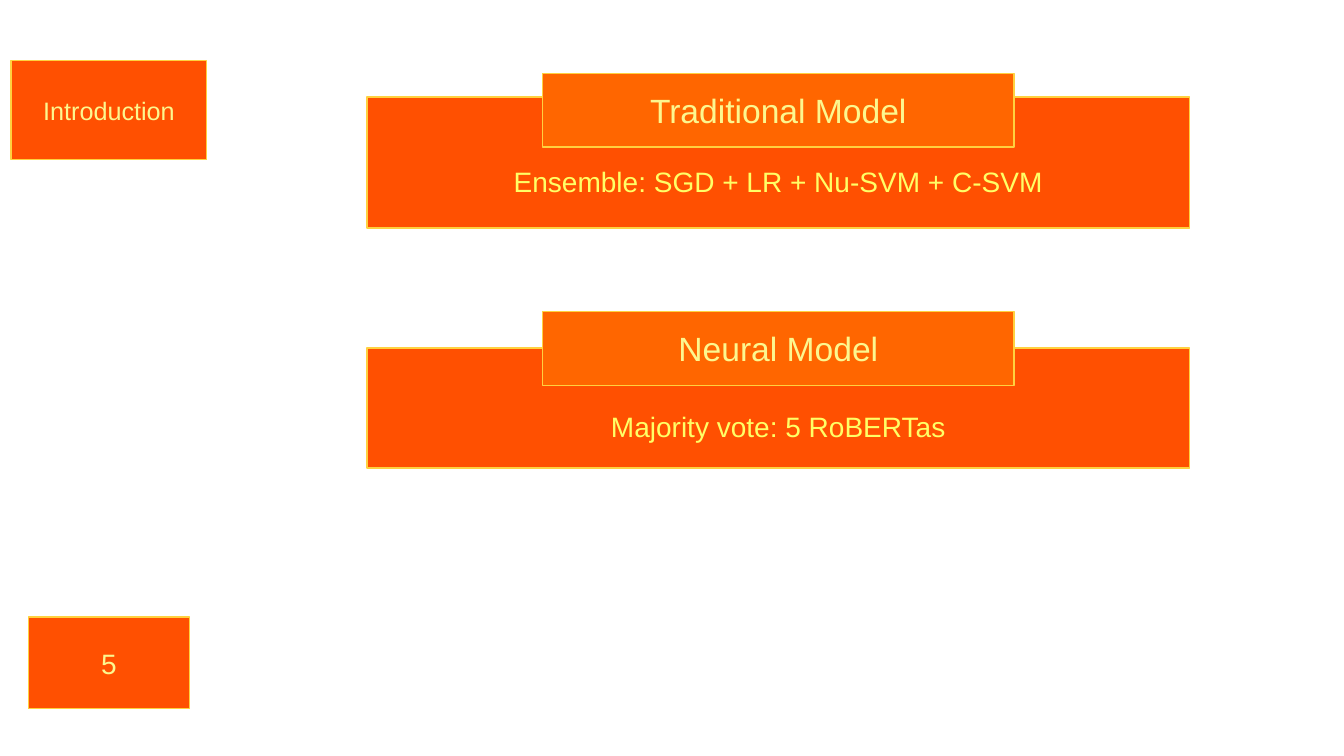
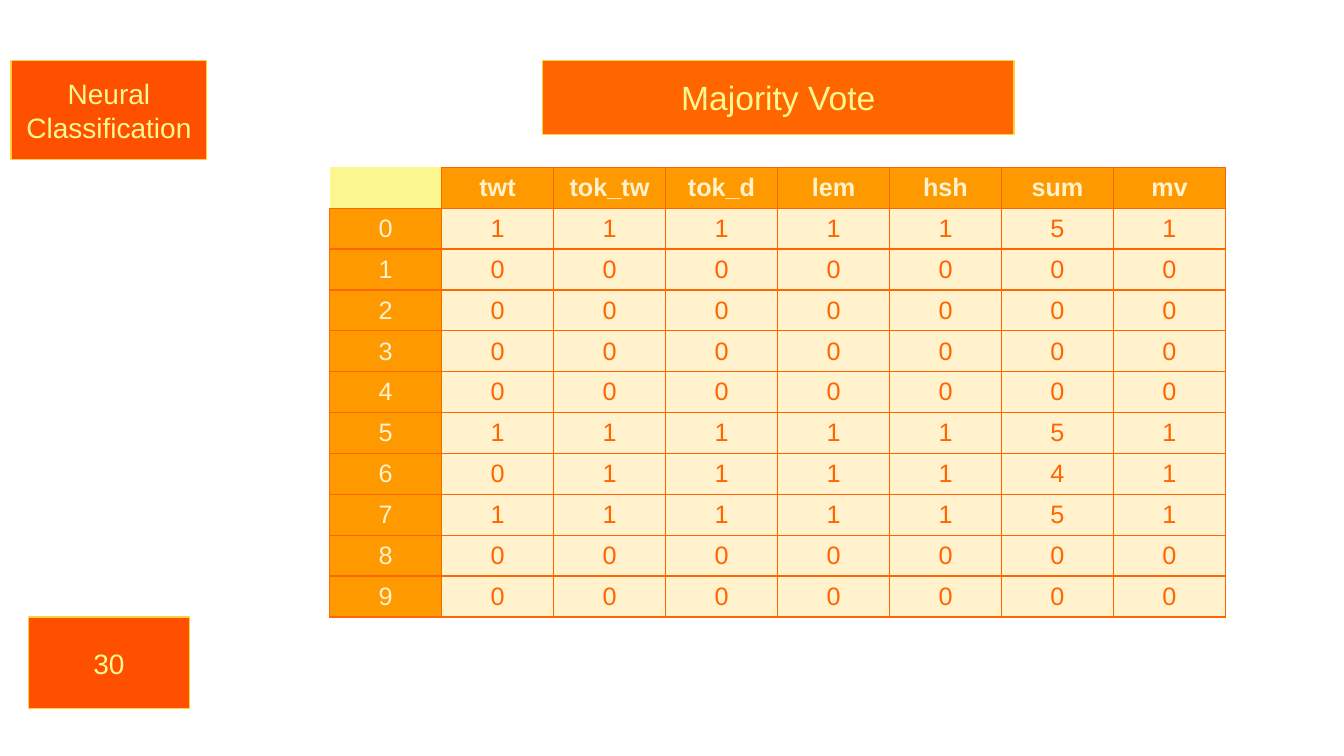
"""Build two slides on the models and their majority vote."""
from lxml.etree import SubElement
from pptx import Presentation
from pptx.dml.color import RGBColor
from pptx.enum.shapes import MSO_SHAPE as SHAPE
from pptx.enum.text import MSO_ANCHOR as ANCHOR, MSO_AUTO_SIZE as AUTO_SIZE, PP_ALIGN as ALIGN
from pptx.oxml.ns import qn
from pptx.util import Pt

RED_ORANGE = RGBColor(0xFF, 0x50, 0x01)
ORANGE = RGBColor(0xFF, 0x66, 0x00)
AMBER = RGBColor(0xFF, 0x99, 0x00)
GOLD = RGBColor(0xFF, 0xD1, 0x3F)
PALE_YELLOW = RGBColor(0xFC, 0xF7, 0x8F)
YELLOW = RGBColor(0xFF, 0xFF, 0x66)
CREAM = RGBColor(0xFF, 0xF2, 0xCC)

FONT = "Arial"
TITLE_ONLY = 5
HEADING_LEFT, HEADING_WIDTH, HEADING_HEIGHT = 387.4, 337, 52.6
PANEL_LEFT, PANEL_WIDTH, PANEL_TOP_INSET = 262.2, 587.5, 30
TABLE_LEFT, TABLE_TOP, COLUMN_WIDTH, ROW_HEIGHT = 235.4, 119.5, 80, 29.2

VOTERS = ["twt", "tok_tw", "tok_d", "lem", "hsh"]
ALL_FOR, ALL_AGAINST = [1] * 5, [0] * 5
VOTES = [ALL_FOR, *[ALL_AGAINST] * 4, ALL_FOR, [0, 1, 1, 1, 1], ALL_FOR, *[ALL_AGAINST] * 2]


def write(frame, text, size, color, bold=False):
    """Write one centred run into a text frame."""
    paragraph = frame.paragraphs[0]
    paragraph.alignment = ALIGN.CENTER
    run = paragraph.add_run()
    run.text = text
    run.font.name = FONT
    run.font.size = Pt(size)
    run.font.bold = bold
    run.font.color.rgb = color


def style_box(shape, text, size, fill, color=PALE_YELLOW):
    """Give a shape the gold-edged box style and its text."""
    shape.shadow.inherit = False
    shape.fill.solid()
    shape.fill.fore_color.rgb = fill
    shape.line.color.rgb = GOLD
    shape.line.width = Pt(1)
    frame = shape.text_frame
    frame.word_wrap = True
    frame.auto_size = AUTO_SIZE.NONE
    frame.vertical_anchor = ANCHOR.MIDDLE
    write(frame, text, size, color)


def add_box(slide, left, top, width, height, *style):
    """Add a styled rectangle."""
    shape = slide.shapes.add_shape(SHAPE.RECTANGLE, Pt(left), Pt(top), Pt(width), Pt(height))
    style_box(shape, *style)
    return shape


def add_slide(presentation, section, section_size, number):
    """Add a slide with its section title and number box."""
    slide = presentation.slides.add_slide(presentation.slide_layouts[TITLE_ONLY])
    title = slide.shapes.title
    title.left, title.top, title.width, title.height = Pt(8), Pt(43.4), Pt(139.7), Pt(70.6)
    style_box(title, section, section_size, RED_ORANGE)
    add_box(slide, 20.2, 440.8, 115.2, 65.5, number, 20, RED_ORANGE)
    return slide


def add_heading(slide, top, text):
    """Add an orange heading box."""
    add_box(slide, HEADING_LEFT, top, HEADING_WIDTH, HEADING_HEIGHT, text, 24, ORANGE)


def add_model(slide, heading_top, panel_top, panel_height, name, method):
    """Add a method panel with its heading over the top edge."""
    panel = add_box(slide, PANEL_LEFT, panel_top, PANEL_WIDTH, panel_height,
                    method, 20, RED_ORANGE, YELLOW)
    panel.text_frame.margin_top = Pt(PANEL_TOP_INSET)
    add_heading(slide, heading_top, name)


def style_cell(cell, fill, bordered_sides="LRTB"):
    """Set the fill, anchor and borders of a cell."""
    properties = cell._tc.get_or_add_tcPr()
    for side in "LRTB":
        line = SubElement(properties, qn(f"a:ln{side}"), w=str(Pt(1)))
        if side in bordered_sides:
            color = SubElement(line, qn("a:solidFill"))
            SubElement(color, qn("a:srgbClr"), val=str(ORANGE))
        else:
            SubElement(line, qn("a:noFill"))
    cell.fill.solid()
    cell.fill.fore_color.rgb = fill
    cell.vertical_anchor = ANCHOR.MIDDLE


def add_vote_table(slide):
    """Add the votes with their sums and majority results."""
    rows = [["", *VOTERS, "sum", "mv"]]
    for index, votes in enumerate(VOTES):
        total = sum(votes)
        rows.append([index, *votes, total, int(total > len(votes) / 2)])
    row_count, column_count = len(rows), len(rows[0])
    table = slide.shapes.add_table(
        row_count, column_count, Pt(TABLE_LEFT), Pt(TABLE_TOP),
        Pt(column_count * COLUMN_WIDTH), Pt(row_count * ROW_HEIGHT)).table
    for row in table.rows:
        row.height = Pt(ROW_HEIGHT)
    for row_index, values in enumerate(rows):
        for column_index, value in enumerate(values):
            cell = table.cell(row_index, column_index)
            if row_index == column_index == 0:
                style_cell(cell, PALE_YELLOW, "RB")
                continue
            is_header = row_index == 0 or column_index == 0
            style_cell(cell, AMBER if is_header else CREAM)
            write(cell.text_frame, str(value), 18, CREAM if is_header else ORANGE,
                  bold=row_index == 0)


def main():
    """Build and save the presentation."""
    presentation = Presentation()
    presentation.slide_width, presentation.slide_height = Pt(960), Pt(540)

    models = add_slide(presentation, "Introduction", 18, "5")
    add_model(models, 52.4, 69.2, 93.8, "Traditional Model", "Ensemble: SGD + LR + Nu-SVM + C-SVM")
    add_model(models, 222.6, 248.6, 85.8, "Neural Model", "Majority vote: 5 RoBERTas")

    voting = add_slide(presentation, "Neural Classification", 20, "30")
    add_heading(voting, 43.4, "Majority Vote")
    add_vote_table(voting)

    presentation.save("out.pptx")


if __name__ == "__main__":
    main()
